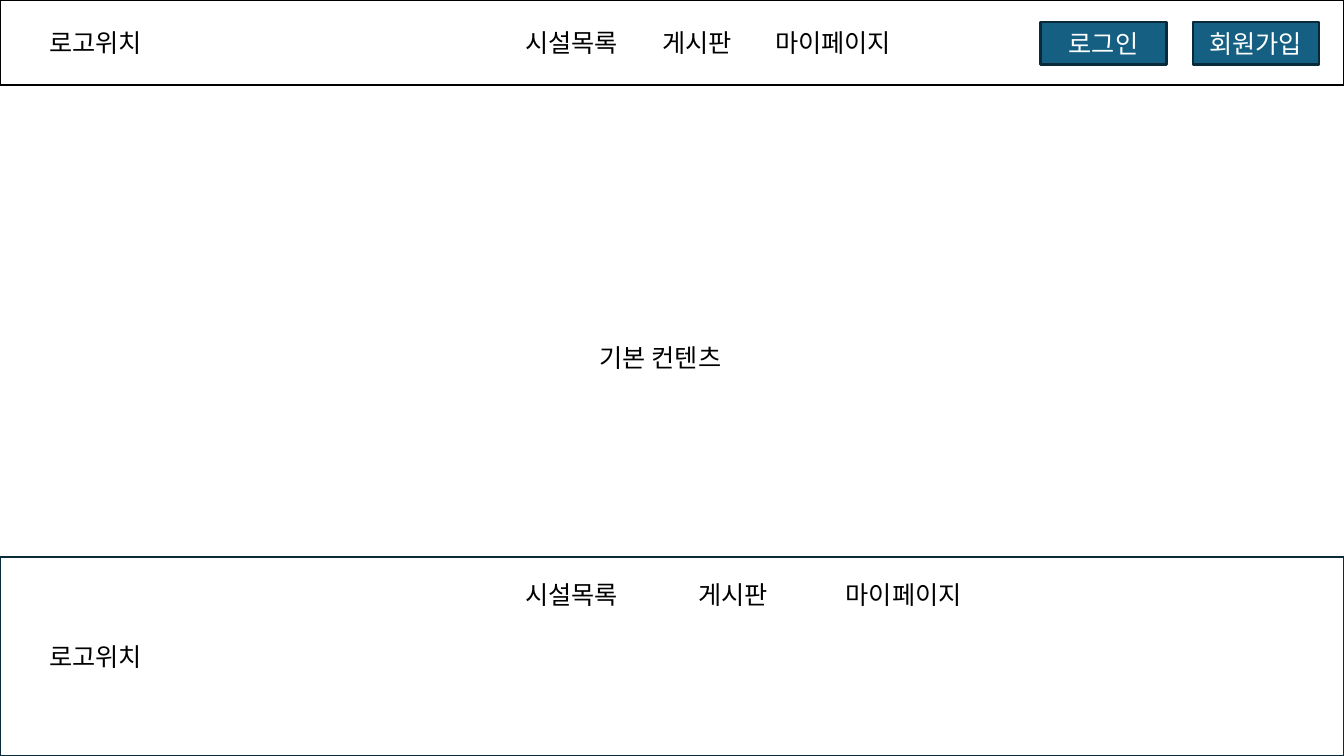
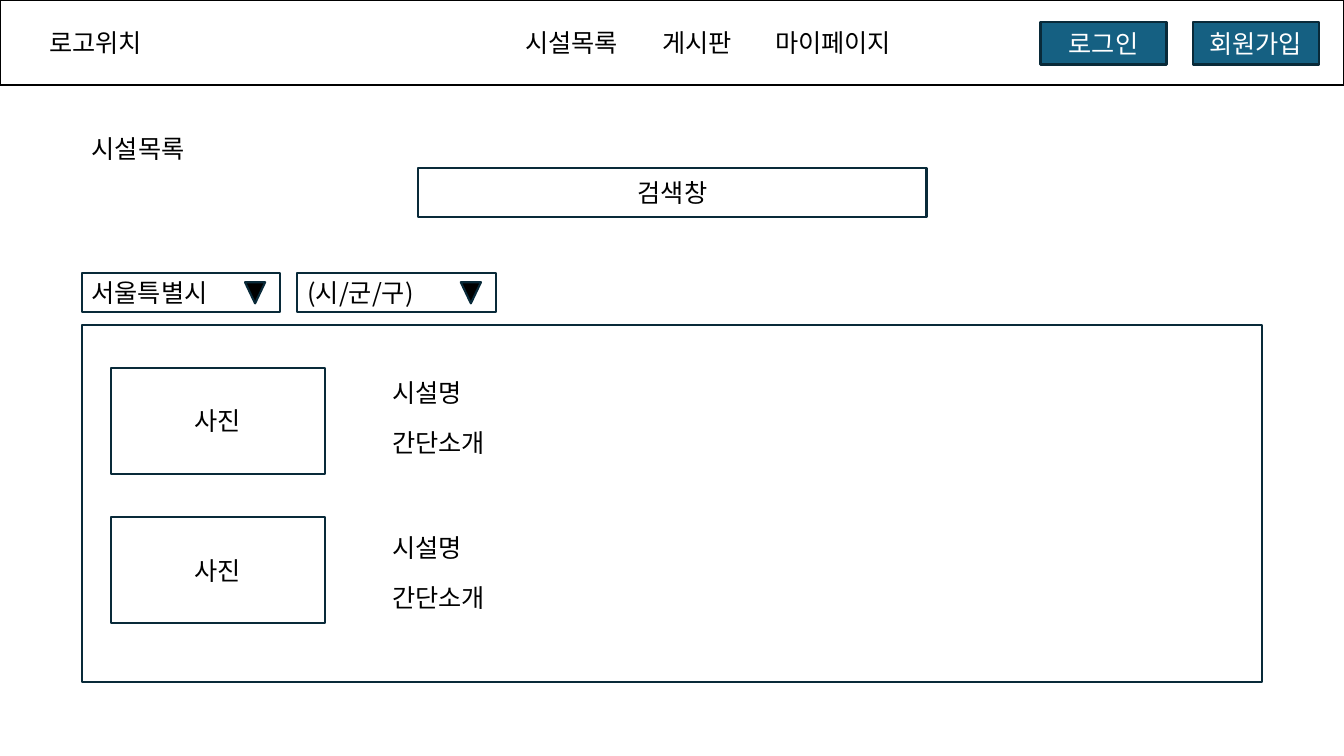
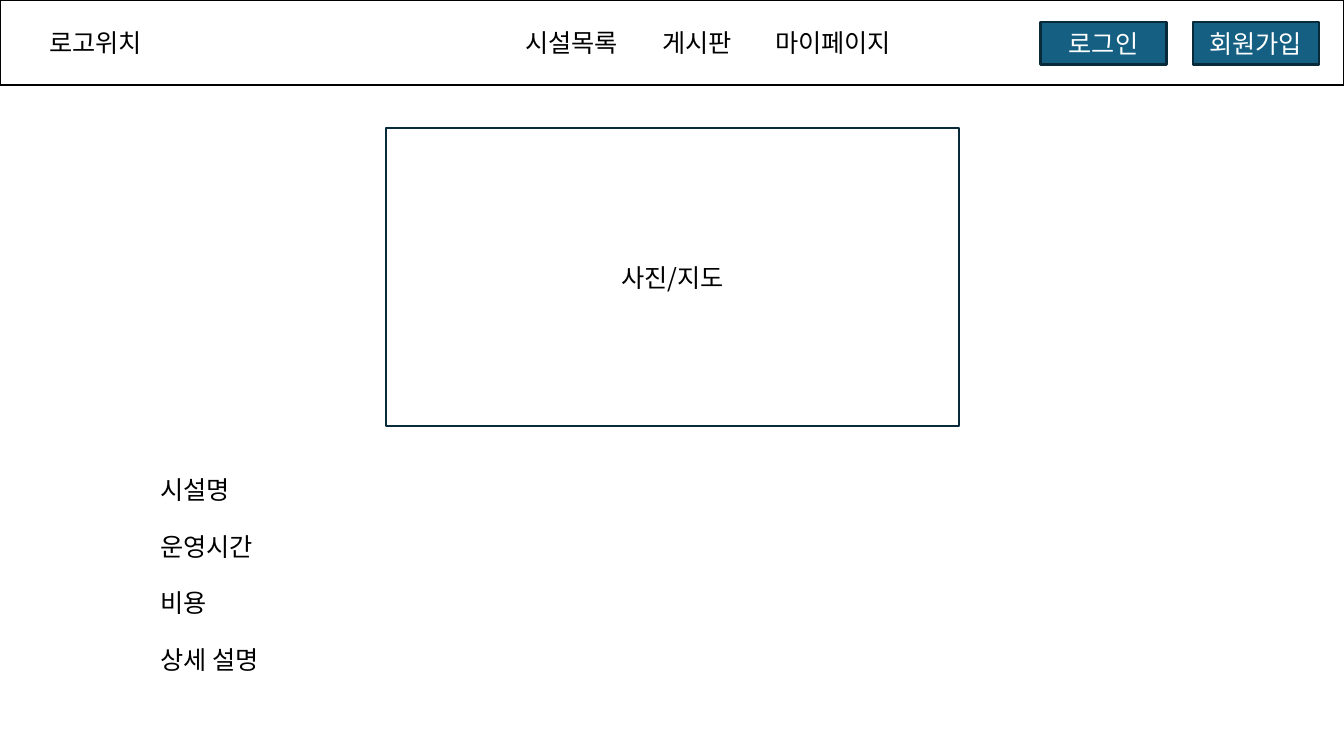
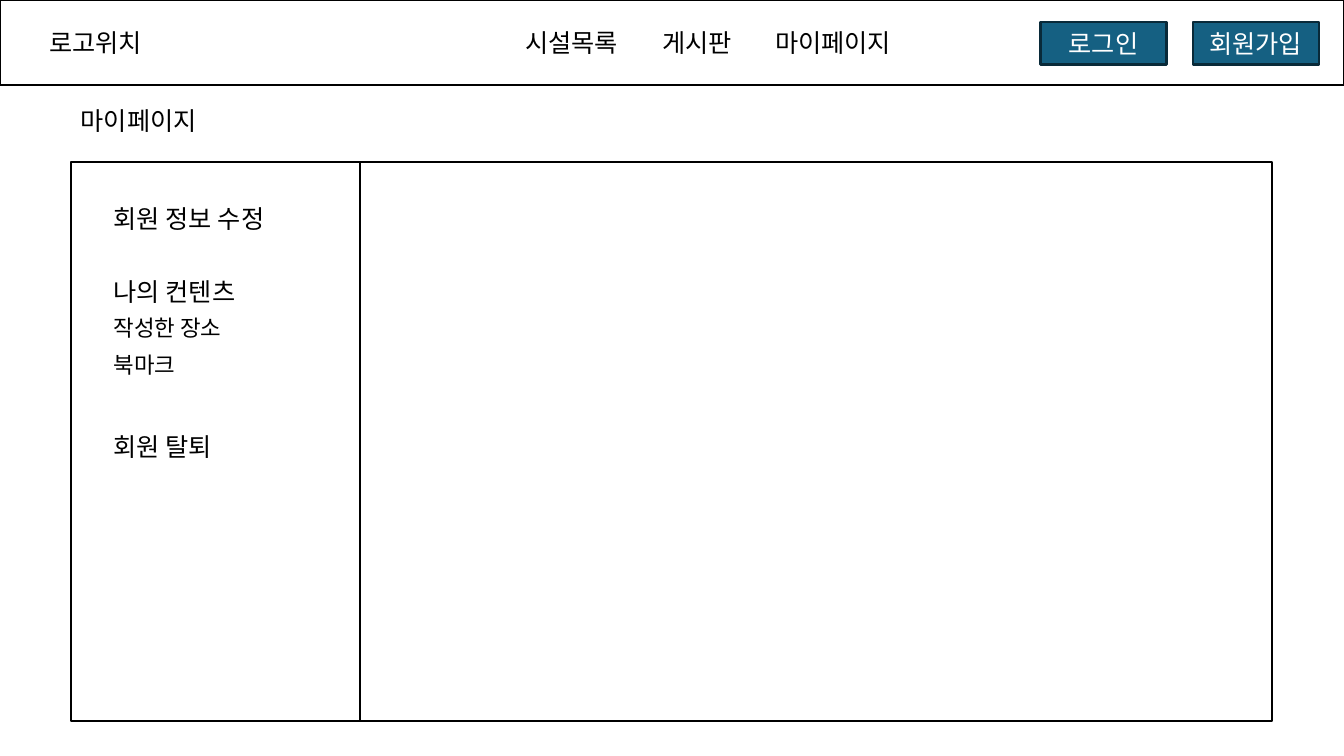
from dataclasses import dataclass

from lxml import etree
from pptx import Presentation
from pptx.dml.color import RGBColor
from pptx.enum import shapes, text
from pptx.oxml import ns
from pptx.util import Inches, Pt

KIND = shapes.MSO_SHAPE
LEFT, MID = text.PP_ALIGN.LEFT, text.PP_ALIGN.CENTER


@dataclass(frozen=True)
class Theme:
    font: str = "Noto Sans CJK KR"
    black: str = "000000"
    white: str = "FFFFFF"
    blue: str = "156082"
    navy: str = "092A39"
    size: int = 18
    small: int = 16
    line: float = 1.5
    wide: float = 13.33
    high: float = 7.5
    menu: tuple = ("시설목록", "게시판", "마이페이지")
    logo: str = "로고위치"


class Deck:
    def __init__(self, theme):
        self.theme = theme
        self.prs = Presentation()
        self.prs.slide_width = Inches(theme.wide)
        self.prs.slide_height = Inches(theme.high)
        self.slide = None

    def page(self, title=None, left=0, top=0):
        """Start a slide with the shared header and, if given, a title."""
        layout = self.prs.slide_layouts.get_by_name("Title Only" if title else "Blank")
        self.slide = self.prs.slides.add_slide(layout)
        self.head()
        if title:
            self.fit(self.slide.shapes.title, title, left, top, self.theme.size)

    def head(self):
        th = self.theme
        self.box(0, 0, th.wide, 0.84, line=th.black)
        self.label(th.logo, 0.39, 0.22)
        self.menu((5.11, 6.47, 7.59), 0.22)
        for name, left in (("로그인", 10.32), ("회원가입", 11.83)):
            self.box(left, 0.22, 1.25, 0.42, name, fill=th.blue, color=th.white)

    def menu(self, lefts, top):
        for name, left in zip(self.theme.menu, lefts):
            self.label(name, left, top)

    def style(self, frame, words, size, color, align):
        """Fill a frame with one styled paragraph."""
        para = frame.paragraphs[0]
        para.text = words
        para.alignment = align
        font = para.font
        font.size = Pt(size)
        font.color.rgb = RGBColor.from_string(color)
        font.name = self.theme.font
        base = para._p.pPr.find(ns.qn("a:defRPr"))
        etree.SubElement(base, ns.qn("a:ea"), typeface=self.theme.font)

    def fit(self, shape, words, left, top, size):
        """Place one line of text in a frame as wide as its letters."""
        gaps = words.count(" ")
        width = 0.21 + size / 72 * (len(words) - gaps + 0.35 * gaps)
        shape.left, shape.top = Inches(left), Inches(top)
        shape.width = Inches(round(width, 2))
        shape.height = Inches(0.4 if size == self.theme.size else 0.37)
        frame = shape.text_frame
        frame.word_wrap = False
        frame.auto_size = text.MSO_AUTO_SIZE.SHAPE_TO_FIT_TEXT
        frame.vertical_anchor = text.MSO_ANCHOR.TOP
        self.style(frame, words, size, self.theme.black, LEFT)

    def label(self, words, left, top, size=None):
        shape = self.slide.shapes.add_textbox(0, 0, 0, 0)
        self.fit(shape, words, left, top, size or self.theme.size)

    def box(self, left, top, width, height, words="", fill=Theme.white,
            line=Theme.navy, color=Theme.black, align=MID, kind=KIND.RECTANGLE):
        shape = self.slide.shapes.add_shape(
            kind, Inches(left), Inches(top), Inches(width), Inches(height))
        shape.shadow.inherit = False
        if fill:
            shape.fill.solid()
            shape.fill.fore_color.rgb = RGBColor.from_string(fill)
        else:
            shape.fill.background()
        shape.line.color.rgb = RGBColor.from_string(line)
        shape.line.width = Pt(self.theme.line)
        if words:
            self.style(shape.text_frame, words, self.theme.size, color, align)
        return shape

    def pick(self, words, left, top):
        """Draw a drop-down field."""
        self.box(left, top, 1.97, 0.39, words, align=LEFT)
        mark = self.box(left + 1.62, top + 0.09, 0.2, 0.21,
                        fill=self.theme.black, kind=KIND.ISOSCELES_TRIANGLE)
        mark.rotation = 180

    def rule(self, left, top, end):
        """Draw a vertical line."""
        line = self.slide.shapes.add_connector(
            shapes.MSO_CONNECTOR.STRAIGHT,
            Inches(left), Inches(top), Inches(left), Inches(end))
        line.line.color.rgb = RGBColor.from_string(self.theme.black)
        line.line.width = Pt(self.theme.line)
        etree.SubElement(line._element.spPr, ns.qn("a:effectLst"))


def home(deck):
    deck.page()
    deck.label("기본 컨텐츠", 5.85, 3.35)
    deck.box(0, 5.53, deck.theme.wide, 1.97)
    deck.label(deck.theme.logo, 0.39, 6.31)
    deck.menu((5.11, 6.83, 8.29), 5.7)


def places(deck):
    deck.page("시설목록", 0.81, 1.27)
    deck.box(4.15, 1.67, 5.04, 0.48, "검색창")
    deck.box(0.81, 3.22, 11.71, 3.55)
    deck.pick("서울특별시", 0.81, 2.71)
    deck.pick("(시/군/구)", 2.95, 2.71)
    for photo, name in ((3.65, 3.69), (5.13, 5.23)):
        deck.box(1.1, photo, 2.12, 1.05, "사진")
        deck.label("시설명", 3.79, name)
        deck.label("간단소개", 3.79, name + 0.5)


def detail(deck):
    deck.page()
    deck.box(3.83, 1.27, 5.68, 2.96, "사진/지도")
    for row, name in enumerate(("시설명", "운영시간", "비용", "상세 설명")):
        deck.label(name, 1.49, 4.66 + 0.56 * row)


def account(deck):
    deck.page("마이페이지", 0.7, 0.99)
    top, height = 1.61, 5.54
    deck.box(0.7, top, 11.92, height, fill=None, line=deck.theme.black)
    deck.rule(3.57, top, top + height)
    for name, place in (("회원 정보 수정", 1.97), ("나의 컨텐츠", 2.69), ("회원 탈퇴", 4.23)):
        deck.label(name, 1.03, place)
    for name, place in (("작성한 장소", 3.07), ("북마크", 3.43)):
        deck.label(name, 1.03, place, deck.theme.small)


def main():
    deck = Deck(Theme())
    for build in (home, places, detail, account):
        build(deck)
    deck.prs.save("out.pptx")


if __name__ == "__main__":
    main()
